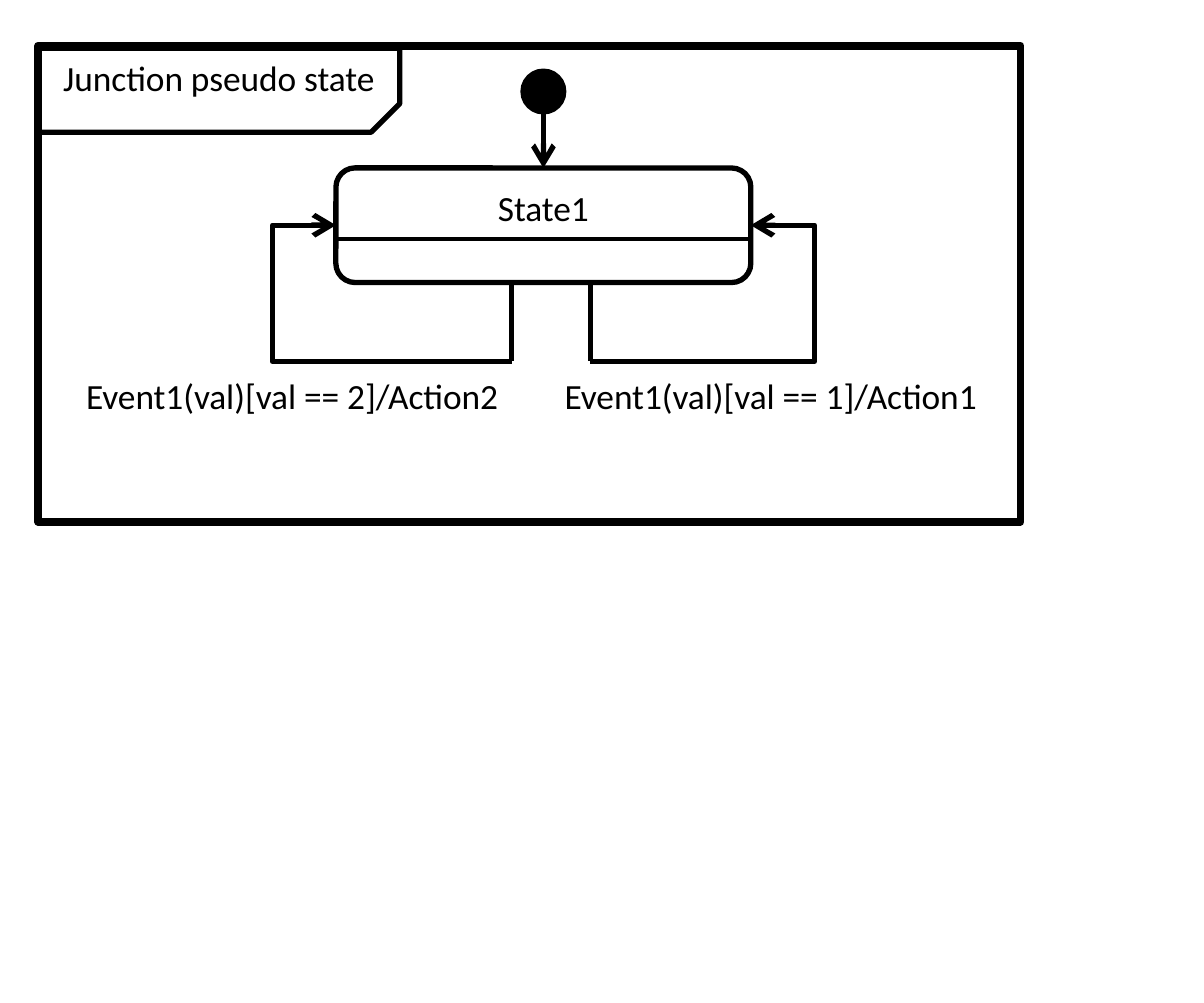
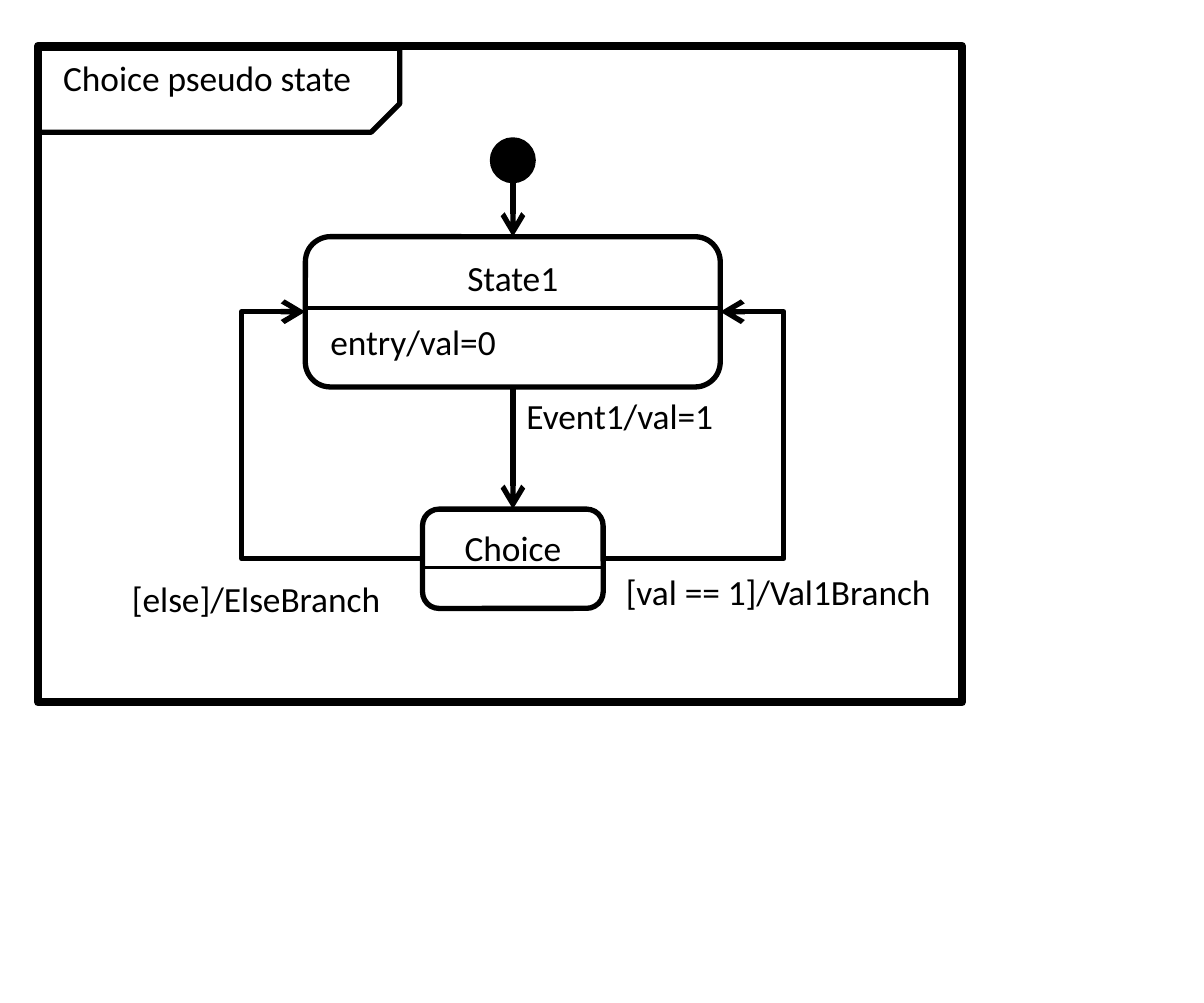
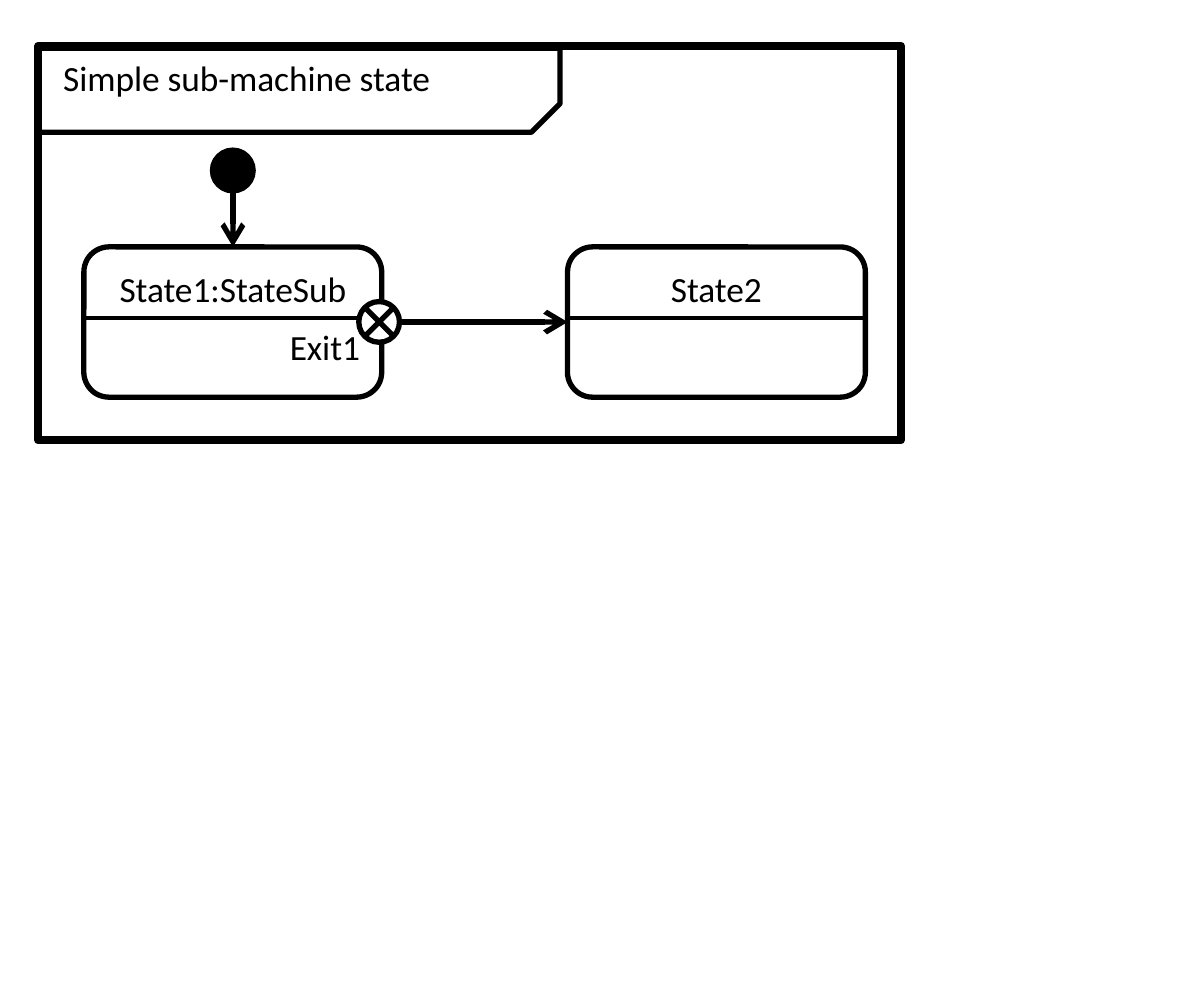
from collections import namedtuple

from lxml import etree
from pptx import Presentation
from pptx import util as u
from pptx.dml.color import RGBColor
from pptx.enum import shapes as sh, text
from pptx.oxml.ns import qn

INK = RGBColor(0x00, 0x00, 0x00)
PAPER = RGBColor(0xFF, 0xFF, 0xFF)
FONT, SIZE = "Calibri", u.Pt(10)
THIN, MID, THICK = 1, 1.5, 2.25

CELL = u.Inches(0.01)
COLS, ROWS = 473, 394
LEFT, TOP = 15, 18      # corner of every frame
DOT, DROP = 16, 22      # size of a dot, length of the arrow below it
HEAD = 28               # rows of a state above its divider
BEND = 25               # how far a loop swings out beside a state

KIND = sh.MSO_SHAPE
WIRE = sh.MSO_CONNECTOR


class Box(namedtuple("Box", "x y w h")):
    """A box in grid cells."""

    @property
    def right(self):
        return self.x + self.w

    @property
    def foot(self):
        return self.y + self.h

    @property
    def mid(self):
        return self.x + self.w / 2, self.y + self.h / 2


def cells(*vals):
    return [u.Emu(round(v * CELL)) for v in vals]


def write(shape, words, align=text.PP_ALIGN.LEFT):
    frame = shape.text_frame
    frame.word_wrap = True
    frame.vertical_anchor = text.MSO_ANCHOR.TOP
    para = frame.paragraphs[0]
    para.text = words
    para.alignment = align
    font = para.runs[0].font
    font.name, font.size = FONT, SIZE
    font.color.rgb = INK


def label(page, box, words):
    write(page.add_textbox(*cells(*box)), words)


def draw(page, kind, box, width=MID, fill=None):
    shape = page.add_shape(kind, *cells(*box))
    shape.shadow.inherit = False
    if fill is None:
        shape.fill.background()
    else:
        shape.fill.solid()
        shape.fill.fore_color.rgb = fill
    shape.line.color.rgb = INK
    shape.line.width = u.Pt(width)
    return shape


def link(page, start, end, width=MID, arrow=False, kind=WIRE.STRAIGHT):
    wire = page.add_connector(kind, *cells(*start, *end))
    wire.line.color.rgb = INK
    wire.line.width = u.Pt(width)
    if arrow:
        etree.SubElement(wire.line._get_or_add_ln(), qn("a:tailEnd"), type="arrow")
    etree.SubElement(wire._element.spPr, qn("a:effectLst"))
    return wire


def loop(page, start, box, side):
    """Run from start around to the left (-1) or right (1) side of a state."""
    end = (box.right if side > 0 else box.x), box.mid[1]
    wire = link(page, start, end, arrow=True, kind=WIRE.ELBOW)
    share = (end[0] + side * BEND - start[0]) / (end[0] - start[0])
    geom = wire._element.spPr.find(qn("a:prstGeom"))
    guides = geom.find(qn("a:avLst"))
    if guides is None:
        guides = etree.SubElement(geom, qn("a:avLst"))
    etree.SubElement(guides, qn("a:gd"), name="adj1",
                     fmla=f"val {round(share * 100000)}")


def chart(deck, title, width, height, tab=142):
    """Add a slide with a framed diagram and its title tab."""
    page = deck.slides.add_slide(deck.slide_layouts[6]).shapes
    draw(page, KIND.RECTANGLE, Box(LEFT, TOP, width, height), THICK)
    flag = draw(page, KIND.SNIP_1_RECTANGLE, Box(LEFT, TOP + 1, tab, 33))
    flag.adjustments[0] = 0.34
    flag._element.spPr.get_or_add_xfrm().set("flipV", "1")
    label(page, Box(LEFT, TOP - 1, max(tab, 181), 27), title)
    return page


def state(page, box, name, head=HEAD):
    shape = draw(page, KIND.ROUNDED_RECTANGLE, box)
    write(shape, name, text.PP_ALIGN.CENTER)
    row = box.y + head
    link(page, (box.x + 0.5, row), (box.right - 0.5, row), THIN)
    return shape


def entry(page, box, shape):
    """Put the initial dot and its arrow above a state."""
    x = box.mid[0]
    top = box.y - DROP
    draw(page, KIND.FLOWCHART_CONNECTOR,
         Box(x - DOT / 2, top - DOT, DOT, DOT), fill=INK)
    link(page, (x, top), (x, box.y), arrow=True).end_connect(shape, 0)


def leave(page, box):
    """Put a crossed exit dot on a state's right side; return its box."""
    spot = Box(box.right - 9, box.mid[1] - DOT / 2, DOT, DOT)
    group = page.add_group_shape().shapes
    draw(group, KIND.FLOWCHART_CONNECTOR, spot, fill=PAPER)
    (x, y), arm = spot.mid, 6
    for way in (1, -1):
        link(group, (x - way * arm, y - arm), (x + way * arm, y + arm))
    return spot


def junction(deck):
    page = chart(deck, "Junction pseudo state", 386, 187)
    box = Box(132, 66, 163, 45)
    entry(page, box, state(page, box, "State1"))
    low = box.foot + 31
    for side, left, num in ((-1, 24, 2), (1, 212, 1)):
        x = box.mid[0] + 3 + side * 15.5
        link(page, (x, box.foot), (x, low))
        loop(page, (x, low), box, side)
        label(page, Box(left, low, 190, 27),
              f"Event1(val)[val == {num}]/Action{num}")


def choice(deck):
    page = chart(deck, "Choice pseudo state", 363, 258)
    box, pick = Box(120, 93, 163, 59), Box(166, 200, 71, 39)
    first = state(page, box, "State1")
    entry(page, box, first)
    second = state(page, pick, "Choice", head=23)
    wire = link(page, (box.mid[0], box.foot), (pick.mid[0], pick.y), arrow=True)
    wire.begin_connect(first, 2)
    wire.end_connect(second, 0)
    loop(page, (pick.x, pick.mid[1]), box, -1)
    loop(page, (pick.right, pick.mid[1]), box, 1)
    label(page, Box(box.x, box.y + HEAD, 126, 18), "entry/val=0")
    label(page, Box(197, 150, 126, 27), "Event1/val=1")
    label(page, Box(42, 222, 123, 27), "[else]/ElseBranch")
    label(page, Box(236, 219, 145, 27), "[val == 1]/Val1Branch")


def nested(deck):
    page = chart(deck, "Simple sub-machine state", 339, 155, tab=205)
    box = Box(33, 97, 117, 59)
    goal = box._replace(x=223)
    entry(page, box, state(page, box, "State1:StateSub"))
    second = state(page, goal, "State2")
    spot = leave(page, box)
    link(page, (spot.right, spot.mid[1]), (goal.x, goal.mid[1]),
         arrow=True).end_connect(second, 1)
    label(page, Box(104, 123, 55, 27), "Exit1")


def main():
    deck = Presentation()
    deck.slide_width, deck.slide_height = cells(COLS, ROWS)
    for build in (junction, choice, nested):
        build(deck)
    deck.save("out.pptx")


if __name__ == "__main__":
    main()
